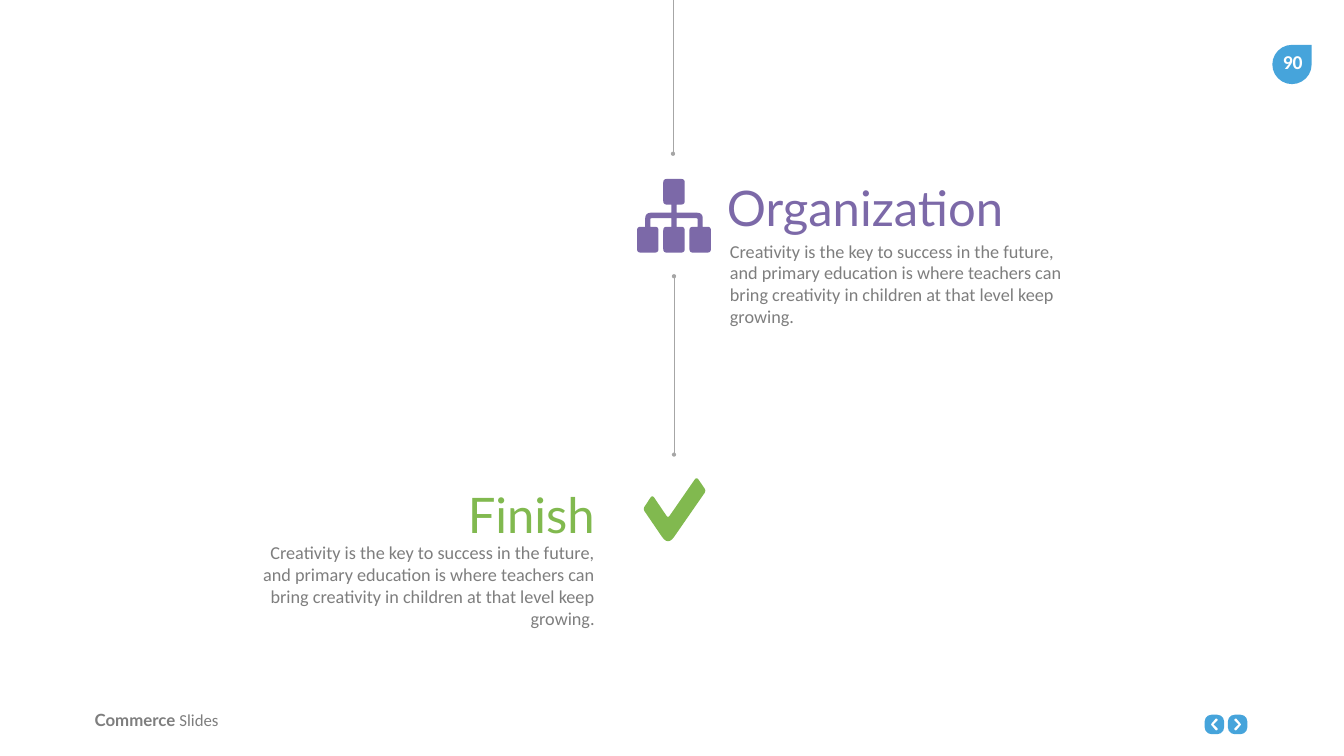
import pptx
import pptx.util
import pptx.dml.color
import pptx.enum.shapes
import pptx.enum.text
import pptx.oxml
import pptx.oxml.ns

Cm = pptx.util.Cm
SHAPE = pptx.enum.shapes.MSO_SHAPE
ALIGN = pptx.enum.text.PP_ALIGN
ANCHOR = pptx.enum.text.MSO_ANCHOR

PURPLE = "7C69A8"
GREEN = "81B94F"
BLUE = "46A4DB"
GREY = "7E7E7E"
LINE_GREY = "A6A6A6"
WHITE = "FFFFFF"
BODY = (
    "Creativity is the key to success in the future, and primary education is "
    "where teachers can bring creativity in children at that level keep growing."
)
AXIS = 33.96
HIERARCHY_HALF = [
    (0.54, 9.02, 0.18), (0.54, 10.31, 0.18), (0.13, 10.31, 0), (0.13, 10.72, 0),
    (1.45, 10.72, 0.3), (1.45, 11.43, 0), (1.86, 11.43, 0.18), (1.86, 12.73, 0.18),
    (0.78, 12.73, 0.18), (0.78, 11.43, 0.18), (1.19, 11.43, 0), (1.19, 11, 0.05),
    (0.13, 11, 0), (0.13, 11.43, 0), (0.54, 11.43, 0.18), (0.54, 12.73, 0.18),
]
CHECK_MARK = [
    (33.66, 27.5, 0.54), (32.4, 25.65, 0.15), (32.87, 24.94, 0.18),
    (33.66, 26.11, 0.15), (35.1, 24.03, 0.18), (35.58, 24.73, 0.15),
]
CHEVRON = [
    (0.18, 0, 0.06), (-0.09, -0.32, 0.06), (-0.19, -0.23, 0.06),
    (0.05, 0, 0), (-0.19, 0.23, 0.06), (-0.09, 0.32, 0.06),
]


def rgb(colour):
    return pptx.dml.color.RGBColor.from_string(colour)


def paint(shape, colour):
    shape.shadow.inherit = False
    shape.fill.solid()
    shape.fill.fore_color.rgb = rgb(colour)
    shape.line.fill.background()


def toward(start, end, distance):
    dx, dy = end[0] - start[0], end[1] - start[1]
    share = distance / (dx * dx + dy * dy) ** 0.5
    return start[0] + dx * share, start[1] + dy * share


def round_corners(corners, steps=6):
    points = []
    for index, corner in enumerate(corners):
        x, y, reach = corner
        if reach == 0:
            points.append((x, y))
            continue
        first = toward(corner, corners[index - 1], reach)
        last = toward(corner, corners[(index + 1) % len(corners)], reach)
        for step in range(steps + 1):
            t = step / steps
            weights = ((1 - t) ** 2, 2 * t * (1 - t), t ** 2)
            points.append(tuple(
                sum(weight * value for weight, value in zip(weights, values))
                for values in zip(first, (x, y), last)
            ))
    return points


def add_outline(slide, corners, colour):
    points = [(Cm(x), Cm(y)) for x, y in round_corners(corners)]
    builder = slide.shapes.build_freeform(*points[0])
    builder.add_line_segments(points[1:], close=True)
    paint(builder.convert_to_shape(), colour)


def add_preset(slide, kind, left, top, size, colour):
    shape = slide.shapes.add_shape(kind, Cm(left), Cm(top), Cm(size), Cm(size))
    paint(shape, colour)
    return shape


def fill_text(shape, runs, align=ALIGN.LEFT, anchor=ANCHOR.TOP, inset=(0.51, 0.25), wrap=True):
    frame = shape.text_frame
    frame.word_wrap = wrap
    frame.auto_size = pptx.enum.text.MSO_AUTO_SIZE.NONE
    frame.vertical_anchor = anchor
    frame.margin_left = frame.margin_right = Cm(inset[0])
    frame.margin_top = frame.margin_bottom = Cm(inset[1])
    paragraph = frame.paragraphs[0]
    paragraph.alignment = align
    paragraph.line_spacing = 1.0
    paragraph.space_before = pptx.util.Pt(0)
    for text, size, font, colour, bold in runs:
        run = paragraph.add_run()
        run.text = text
        run.font.size = pptx.util.Pt(size)
        run.font.name = font
        run.font.bold = bold
        run.font.color.rgb = rgb(colour)


def add_text(slide, left, top, width, height, runs, **options):
    box = slide.shapes.add_textbox(Cm(left), Cm(top), Cm(width), Cm(height))
    fill_text(box, runs, **options)


def set_title(slide, left, top, width, height, runs, **options):
    title = slide.shapes.title
    title.left, title.top = Cm(left), Cm(top)
    title.width, title.height = Cm(width), Cm(height)
    fill_text(title, runs, **options)


def add_timeline(slide, x, top, bottom, ends):
    connector = slide.shapes.add_connector(
        pptx.enum.shapes.MSO_CONNECTOR.STRAIGHT, Cm(x), Cm(bottom), Cm(x), Cm(top)
    )
    connector.line.color.rgb = rgb(LINE_GREY)
    connector.line.width = pptx.util.Pt(0.5)
    line = connector.line._get_or_add_ln()
    for end in ends:
        element = pptx.oxml.parse_xml(f'<a:{end} {pptx.oxml.ns.nsdecls("a")} type="oval"/>')
        line.append(element)
    connector._element.spPr.append(
        pptx.oxml.parse_xml(f'<a:effectLst {pptx.oxml.ns.nsdecls("a")}/>')
    )


def add_navigation(slide):
    for centre, direction in ((61.19, -1), (62.36, 1)):
        button = add_preset(slide, SHAPE.ROUNDED_RECTANGLE, centre - 0.49, 36.02, 0.98, BLUE)
        button.adjustments[0] = 0.35
        arrow = [(centre + direction * x, 36.51 + y, reach) for x, y, reach in CHEVRON]
        add_outline(slide, arrow, WHITE)


def main():
    presentation = pptx.Presentation()
    presentation.slide_width, presentation.slide_height = Cm(67.72), Cm(38.1)
    slide = presentation.slides.add_slide(presentation.slide_layouts[5])

    add_navigation(slide)
    add_preset(slide, SHAPE.TEAR, 64.11, 2.26, 1.98, BLUE)
    add_text(slide, 64.03, 2.29, 2.21, 1.7, [("90", 28, "Calibri", WHITE, True)],
             align=ALIGN.CENTER, wrap=False)
    add_text(slide, 4.52, 35.66, 10.16, 1.27,
             [("Commerce ", 24, "Lato", GREY, True), ("Slides", 24, "Calibri", GREY, False)],
             inset=(0.25, 0.13))

    body_runs = [(BODY, 26, "Calibri", GREY, False)]
    set_title(slide, 36.12, 8.81, 21.36, 3.28,
              [("Organization", 70, "Lato", PURPLE, False)], anchor=ANCHOR.MIDDLE)
    add_text(slide, 36.27, 11.84, 18.14, 5.41, body_runs)
    add_text(slide, 9.12, 24.28, 21.36, 3.28,
             [("Finish", 70, "Lato", GREEN, False)], align=ALIGN.RIGHT, anchor=ANCHOR.MIDDLE)
    add_text(slide, 12.34, 27.05, 18.14, 5.18, body_runs, align=ALIGN.RIGHT)

    add_timeline(slide, 33.91, 0, 7.75, ["headEnd"])
    add_timeline(slide, AXIS, 13.92, 22.91, ["headEnd", "tailEnd"])
    hierarchy = [(AXIS + x, y, reach) for x, y, reach in HIERARCHY_HALF]
    hierarchy += [(AXIS - x, y, reach) for x, y, reach in reversed(HIERARCHY_HALF)]
    add_outline(slide, hierarchy, PURPLE)
    add_outline(slide, CHECK_MARK, GREEN)

    presentation.save("out.pptx")


if __name__ == "__main__":
    main()
